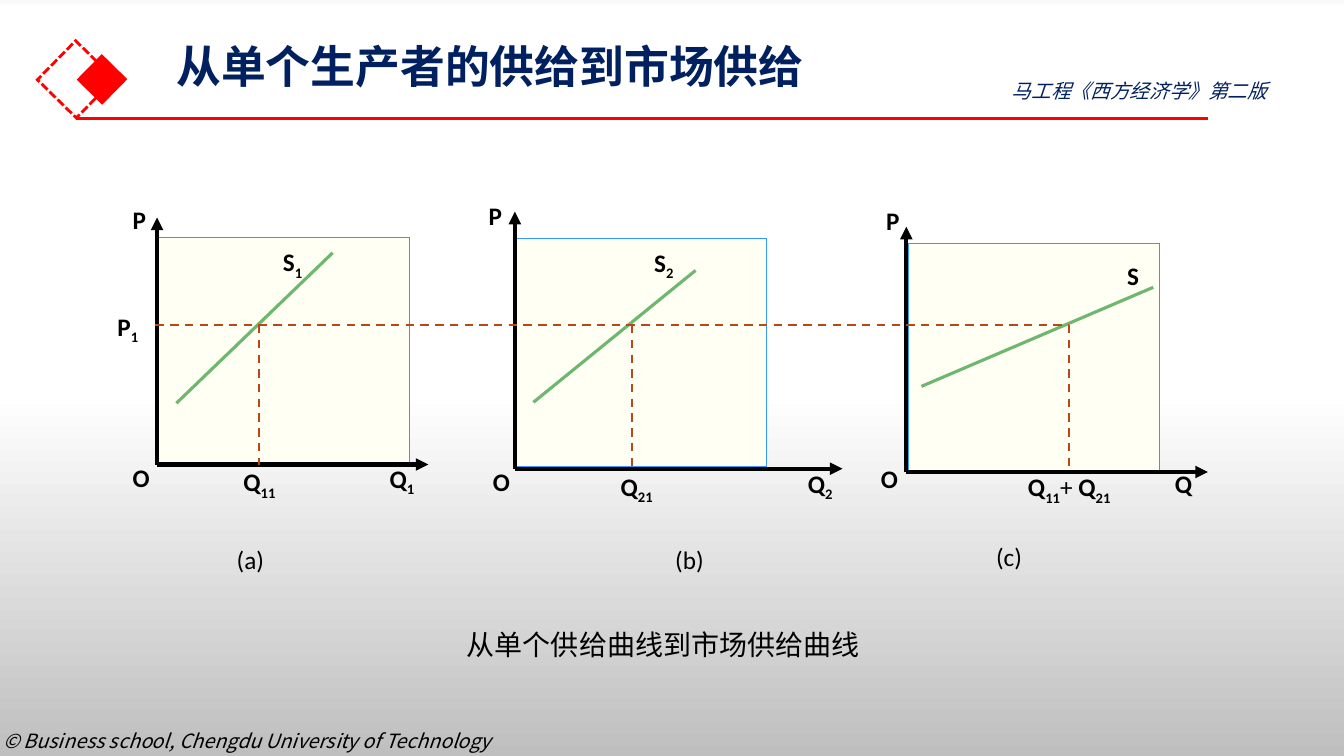
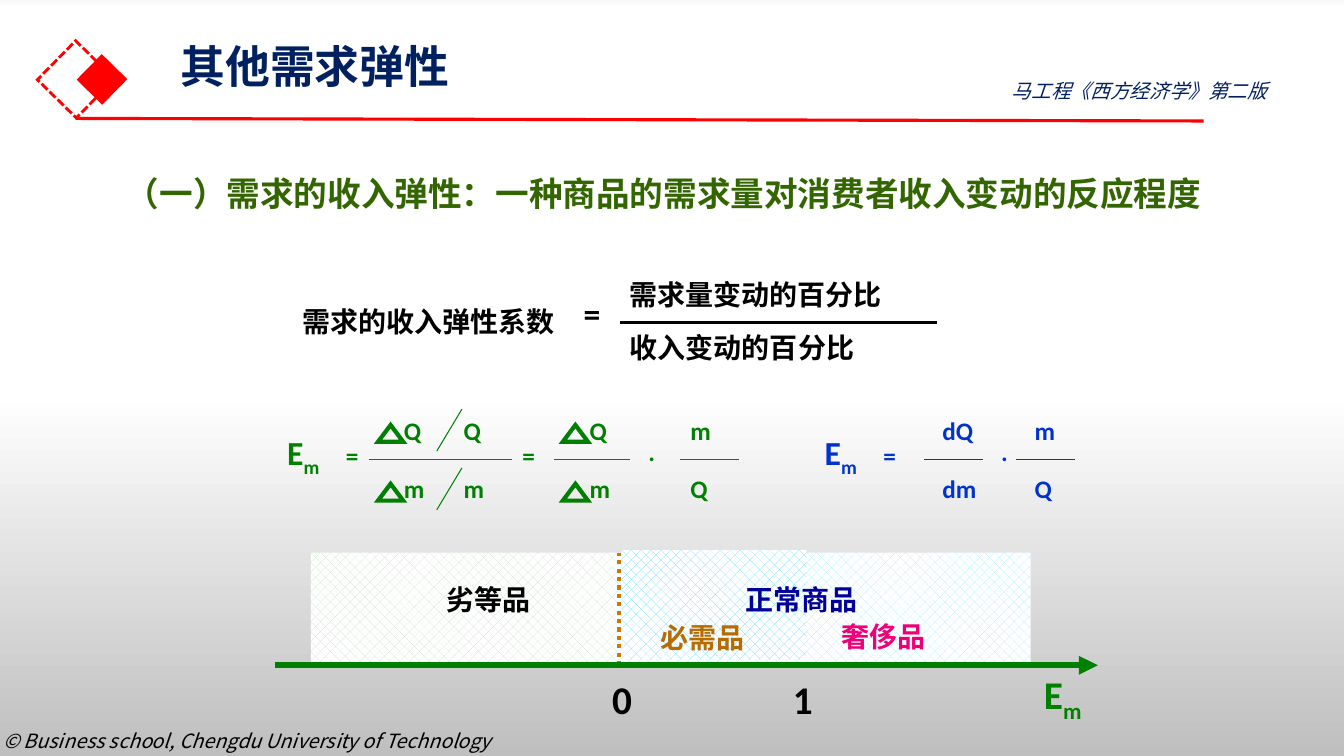
from dataclasses import dataclass
from typing import Optional

from lxml import etree
from pptx import Presentation
from pptx.dml.color import RGBColor
from pptx.enum.dml import MSO_LINE, MSO_PATTERN
from pptx.enum.shapes import MSO_CONNECTOR, MSO_SHAPE
from pptx.enum.text import MSO_ANCHOR
from pptx.oxml.ns import qn
from pptx.util import Emu, Pt

# Grid: 160 columns by 90 rows of square cells
COLUMNS, ROWS = 160, 90
CELL = 76200

LATIN, CHINESE = "Calibri", "Noto Sans CJK SC"
BLACK, RED, NAVY = "000000", "FF0000", "002060"
CURVE, GUIDE = "6FB76F", "B74919"
PLOT_FILL, PLOT_EDGE = "FFFFF3", "3399FF"
GREEN, BLUE, DARK_GREEN = "008000", "0033CC", "336600"
BACKGROUND_STOPS = ((0, "F9F9F9"), (1, "FFFFFF"), (52, "FFFFFF"), (100, "BFBFBF"))


@dataclass(frozen=True)
class Label:
    """Text at a left edge and a middle height; "_" switches subscript on and off."""
    left: float
    middle: float
    text: str
    size: float = 18
    color: str = BLACK
    font: str = LATIN
    bold: bool = True
    italic: bool = False
    width: float = 10
    height: float = 4
    spacing: float = 1


@dataclass(frozen=True)
class Panel:
    """Axes, supply curve and quantity guide of one diagram."""
    plot: tuple[float, float]
    origin: tuple[float, float]
    top: float
    right: float
    curve: tuple[float, float, float, float]
    quantity: float


@dataclass(frozen=True)
class Fraction:
    left: float
    right: float
    text_left: float
    above: str
    below: str
    color: str = GREEN
    delta_left: Optional[float] = None
    slash_left: Optional[float] = None


PANELS = (
    Panel((18.8, 28.3), (18.7, 55.3), 25.9, 51, (21, 48, 39.6, 30.1), 30.8),
    Panel((61.4, 28.4), (61.3, 55.8), 25.2, 100.3, (63.5, 47.9, 82.8, 32.2), 75.2),
    Panel((108.1, 29), (107.9, 56.2), 27, 143.8, (109.7, 46, 137.3, 34.2), 127.3),
)
PRICE = 38.7

PANEL_LABELS = (
    Label(14.6, 26.1, "P"), Label(57, 25.6, "P"), Label(104.3, 26.2, "P"),
    Label(14.6, 56.8, "O"), Label(57.5, 57.3, "O"), Label(103.7, 56.9, "O"),
    Label(45.2, 57.2, "Q_1"), Label(95, 57.8, "Q_2"), Label(138.7, 57.6, "Q"),
    Label(32.5, 31.4, "S_1"), Label(76.7, 31.5, "S_2"), Label(133, 32.8, "S"),
    Label(12.8, 39.1, "P_1"), Label(27.8, 57.6, "Q_11"), Label(72.7, 58.1, "Q_21"),
    Label(121.2, 58.2, "Q_11_+ __Q_21", width=17.6),
    Label(27, 66.6, "(a)", bold=False),
    Label(79.2, 66.6, "(b)", bold=False),
    Label(117.4, 66.2, "(c)", bold=False),
    Label(54.4, 76.7, "从单个供给曲线到市场供给曲线", 20, font=CHINESE, bold=False, width=84.7, height=5.3),
)

FRACTIONS = (
    Fraction(43.9, 61, 46.9, "Q", "m", delta_left=45, slash_left=52),
    Fraction(66, 75, 69, "Q", "m", delta_left=67),
    Fraction(81, 88, 81, "m", "Q"),
    Fraction(110, 117, 111, "dQ", "dm", BLUE),
    Fraction(121, 128, 122, "m", "Q", BLUE),
)
NUMERATOR, FRACTION_BAR, DENOMINATOR = 51.2, 54.7, 58.2

ELASTICITY_LABELS = (
    # Heading and definition
    Label(13.8, 21.8, "（一）需求的收入弹性：一种商品的需求量对消费者收入变动的反应程度", 24, DARK_GREEN,
          CHINESE, width=136, height=7, spacing=1.5),
    Label(34.8, 37.3, "需求的收入弹性系数", 20, font=CHINESE, width=64, height=6.6, spacing=1.5),
    Label(68.3, 37.3, "=", 24, height=6),
    Label(73.7, 35, "需求量变动的百分比", 20, font=CHINESE, width=40, height=5.3),
    Label(73.8, 41.4, "收入变动的百分比", 20, font=CHINESE, width=37, height=5.3),
    # Formula signs
    Label(33, 54.2, "E_m", 24, GREEN, height=6),
    Label(97, 54.2, "E_m", 24, BLUE, height=6),
    Label(40, 54.2, "=", color=GREEN),
    Label(61, 54.2, "=", color=GREEN),
    Label(104, 54.2, "=", color=BLUE),
    Label(76, 53.7, ".", color=GREEN),
    Label(118, 53.7, ".", color=BLUE),
)

# Pattern areas: left, top, width, height, colour
GOODS_AREAS = (
    (73.7, 65.8, 49, 13.4, "ADEAFF"),
    (74, 65.5, 22, 13, "69D8FF"),
    (37, 65.8, 36.7, 13.4, "C8E4C8"),
)
GOODS_LABELS = (
    Label(87.6, 70.4, "正常商品", 20, "000099", CHINESE, width=22, height=8.5, spacing=1.5),
    Label(99, 74.8, "奢侈品", 20, "F00078", CHINESE, width=18, height=5.4, spacing=1.5),
    Label(77.4, 74.9, "必需品", 20, "B66C00", CHINESE, width=18, height=5.4, spacing=1.5),
    Label(52, 70.3, "劣等品", 20, BLACK, CHINESE, width=18, height=7.2, spacing=1.5),
    Label(71.7, 83.2, "0", 28, height=5),
    Label(93.2, 83.2, "1", 28, height=5),
    Label(123.1, 83, "E_m", 28, GREEN, height=7.6),
)


def cells(count: float) -> Emu:
    return Emu(round(count * CELL))


def rgb(value: str) -> RGBColor:
    return RGBColor.from_string(value)


def add_label(page, label: Label) -> None:
    box = page.shapes.add_textbox(cells(label.left), cells(label.middle - label.height / 2),
                                  cells(label.width), cells(label.height))
    frame = box.text_frame
    frame.word_wrap = False
    frame.vertical_anchor = MSO_ANCHOR.MIDDLE
    para = frame.paragraphs[0]
    para.line_spacing = label.spacing
    font = para.font
    font.name, font.size = label.font, Pt(label.size)
    font.bold, font.italic = label.bold, label.italic
    font.color.rgb = rgb(label.color)
    for index, part in enumerate(label.text.split("_")):
        if not part:
            continue
        span = para.add_run()
        span.text = part
        if index % 2:
            span._r.get_or_add_rPr().set("baseline", "-25000")
        elif part == "+ ":
            span.font.bold = False


def add_line(page, start: tuple[float, float], end: tuple[float, float], color: str,
             width: float, dash: Optional[MSO_LINE] = None, arrow: bool = False) -> None:
    line = page.shapes.add_connector(MSO_CONNECTOR.STRAIGHT, *map(cells, (*start, *end)))
    line.line.color.rgb = rgb(color)
    line.line.width = Pt(width)
    if dash is not None:
        line.line.dash_style = dash
    if arrow:
        etree.SubElement(line.line._get_or_add_ln(), qn("a:tailEnd"), type="triangle")
    etree.SubElement(line._element.spPr, qn("a:effectLst"))


def add_block(page, kind: MSO_SHAPE, left: float, top: float, width: float, height: float,
              fill: Optional[str] = None, edge: Optional[str] = None, edge_width: float = 1,
              patterned: bool = False):
    block = page.shapes.add_shape(kind, *map(cells, (left, top, width, height)))
    block.shadow.inherit = False
    if fill is None:
        block.fill.background()
    elif patterned:
        block.fill.patterned()
        block.fill.pattern = MSO_PATTERN.PERCENT_30
        block.fill.fore_color.rgb = rgb(fill)
        block.fill.back_color.rgb = rgb("FFFFFF")
    else:
        block.fill.solid()
        block.fill.fore_color.rgb = rgb(fill)
    if edge is None:
        block.line.fill.background()
    else:
        block.line.color.rgb = rgb(edge)
        block.line.width = Pt(edge_width)
        etree.SubElement(block.line._get_or_add_ln(), qn("a:miter"), lim="800000")
    return block


def set_background(deck) -> None:
    fill = deck.slide_master.background.fill
    fill.gradient()
    gradient = deck.slide_master.element.find(".//" + qn("a:gradFill"))
    stops = gradient.find(qn("a:gsLst"))
    for stop in list(stops):
        stops.remove(stop)
    for share, color in BACKGROUND_STOPS:
        stop = etree.SubElement(stops, qn("a:gs"), pos=str(share * 1000))
        etree.SubElement(stop, qn("a:srgbClr"), val=color)
    gradient.find(qn("a:lin")).set("ang", "5400000")


def add_page(deck, title: str, title_left: float, rule_end: tuple[float, float]):
    """Blank page with the shared emblem, rule, title, book name and footer."""
    page = deck.slides.add_slide(deck.slide_layouts[6])
    add_label(page, Label(-0.8, 88.2, "© Business school, Chengdu University of Technology", 14,
                          font=CHINESE, bold=False, italic=True, width=63.7))
    outline = add_block(page, MSO_SHAPE.RECTANGLE, 5.8, 6.2, 6.5, 6.5, edge=RED, edge_width=2)
    outline.line.dash_style = MSO_LINE.SQUARE_DOT
    diamond = add_block(page, MSO_SHAPE.RECTANGLE, 10.1, 7.4, 4.1, 4.1, RED, RED)
    outline.rotation = diamond.rotation = 314.5
    add_line(page, (9, 14.1), rule_end, RED, 2.25)
    add_label(page, Label(title_left, 8.2, title, 32, NAVY, CHINESE, width=138, height=7, spacing=0.9))
    add_label(page, Label(119.3, 10.8, "马工程《西方经济学》第二版", 14, NAVY, CHINESE,
                          bold=False, italic=True, width=38.9))
    return page


def build_supply_page(deck) -> None:
    page = add_page(deck, "从单个生产者的供给到市场供给", 19.8, (143.8, 14.1))
    # Diagrams
    for panel in PANELS:
        add_block(page, MSO_SHAPE.RECTANGLE, *panel.plot, 29.9, 27.2, PLOT_FILL, PLOT_EDGE, 0.75)
        x, y = panel.origin
        add_line(page, panel.curve[:2], panel.curve[2:], CURVE, 2.25)
        add_line(page, (x, y), (panel.right, y), BLACK, 3, arrow=True)
        add_line(page, (x, y), (x, panel.top), BLACK, 3, arrow=True)
    # Price and quantity guides
    add_line(page, (18.5, PRICE), (PANELS[-1].quantity, PRICE), GUIDE, 1.5, MSO_LINE.DASH)
    for panel in PANELS:
        add_line(page, (panel.quantity, PRICE), (panel.quantity, panel.origin[1]), GUIDE, 1.5, MSO_LINE.DASH)
    for label in PANEL_LABELS:
        add_label(page, label)


def add_fraction(page, fraction: Fraction) -> None:
    add_line(page, (fraction.left, FRACTION_BAR), (fraction.right, FRACTION_BAR), fraction.color, 0.75)
    for middle, text in ((NUMERATOR, fraction.above), (DENOMINATOR, fraction.below)):
        lefts = [fraction.text_left]
        if fraction.delta_left is not None:
            add_block(page, MSO_SHAPE.ISOSCELES_TRIANGLE, fraction.delta_left, middle - 0.6, 3, 2,
                      edge=fraction.color, edge_width=3)
        if fraction.slash_left is not None:
            slash = fraction.slash_left
            add_line(page, (slash + 3, middle - 2.5), (slash, middle + 2.5), fraction.color, 0.75)
            lefts.append(slash + 2)
        for left in lefts:
            add_label(page, Label(left, middle, text, color=fraction.color))


def build_elasticity_page(deck) -> None:
    page = add_page(deck, "其他需求弹性", 20.3, (143.3, 14.4))
    # Definition and formulas
    for label in ELASTICITY_LABELS:
        add_label(page, label)
    add_line(page, (73.8, 38.4), (111.6, 38.4), BLACK, 2)
    for fraction in FRACTIONS:
        add_fraction(page, fraction)
    # Scale of goods
    for *place, color in GOODS_AREAS:
        add_block(page, MSO_SHAPE.RECTANGLE, *place, color, patterned=True)
    add_line(page, (73.7, 79.2), (73.7, 65.8), "CC7900", 3, MSO_LINE.ROUND_DOT)
    add_line(page, (32.8, 79.2), (130.7, 79.2), GREEN, 4.5, arrow=True)
    for label in GOODS_LABELS:
        add_label(page, label)


def main() -> None:
    deck = Presentation()
    deck.slide_width, deck.slide_height = cells(COLUMNS), cells(ROWS)
    set_background(deck)
    build_supply_page(deck)
    build_elasticity_page(deck)
    deck.save("out.pptx")


if __name__ == "__main__":
    main()
